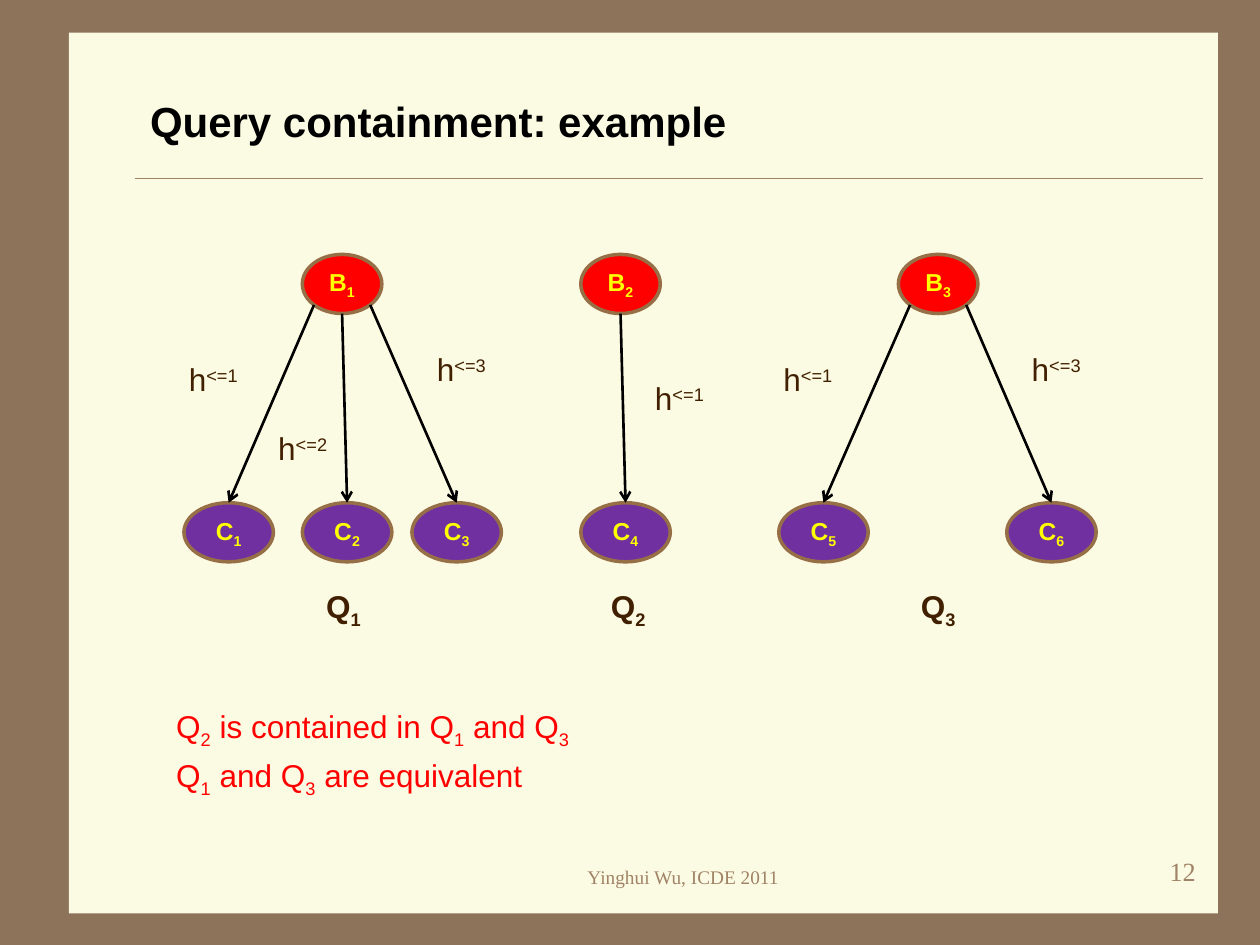
from math import sqrt

from lxml.etree import SubElement
from pptx import Presentation
from pptx.dml.color import RGBColor
from pptx.enum.shapes import MSO_CONNECTOR, MSO_SHAPE
from pptx.enum.text import MSO_ANCHOR, PP_ALIGN
from pptx.oxml.ns import qn
from pptx.util import Pt

# Content: "|" switches between normal and raised or lowered text
TITLE = "Query containment: example"
FOOTER = "Yinghui Wu, ICDE 2011"
PAGE_NUMBER = "12"
QUERIES = [
    {"root": ("B|1", 172.8), "name": ("Q|1", 179.3),
     "leaves": [("C|1", 105.1, "left"), ("C|2", 172.8, "middle"), ("C|3", 235.4, "right")],
     "bounds": [("h|<=1", 100.8, 202.3), ("h|<=2", 151.9, 241.9), ("h|<=3", 242.6, 196.6)]},
    {"root": ("B|2", 331.9), "name": ("Q|2", 342),
     "leaves": [("C|4", 331.9, "middle")],
     "bounds": [("h|<=1", 367.2, 213.1)]},
    {"root": ("B|3", 513.4), "name": ("Q|3", 519.1),
     "leaves": [("C|5", 445, "left"), ("C|6", 575.3, "right")],
     "bounds": [("h|<=1", 440.6, 202.3), ("h|<=3", 582.5, 196.6)]},
]
CONCLUSIONS = ["Q|2| is contained in Q|1| and Q|3", "Q|1| and Q|3| are equivalent"]

# Layout and colours
ROOT_TOP, LEAF_TOP, NAME_TOP = 145.4, 287.3, 331.9
ROOT_WIDTH, LEAF_WIDTH, NODE_HEIGHT = 45.4, 51.1, 33.8
NAME_WIDTH, BOUND_WIDTH = 36, 44
CONCLUSION_TOP, CONCLUSION_STEP = 400.3, 28.4
BROWN, CREAM, TAN, DARK = "8C735A", "FBFAE2", "A08366", "402000"
RED, PURPLE, YELLOW, BLACK, RIM = "FF0000", "7030A0", "FFFF00", "000000", "976F47"
SUBSCRIPT, SUPERSCRIPT = "-25000", "30000"


def color(hex_code):
    return RGBColor.from_string(hex_code)


def write(frame, text, size, ink, bold=False, font="Arial", script=SUBSCRIPT,
          align=PP_ALIGN.LEFT, margin=7.2):
    frame.margin_left = frame.margin_right = Pt(margin)
    frame.margin_top = frame.margin_bottom = Pt(3.6)
    paragraph = frame.paragraphs[0]
    paragraph.alignment = align
    for index, part in enumerate(text.split("|")):
        run = paragraph.add_run()
        run.text = part
        run.font.name, run.font.size, run.font.bold = font, Pt(size), bold
        run.font.color.rgb = color(ink)
        if index % 2:
            run.font._element.set("baseline", script)


def add_text(slide, text, left, top, width, height, size, ink, wrap=False, **style):
    box = slide.shapes.add_textbox(Pt(left), Pt(top), Pt(width), Pt(height))
    box.text_frame.word_wrap = wrap
    write(box.text_frame, text, size, ink, **style)


def add_node(slide, text, left, top, width, fill):
    node = slide.shapes.add_shape(MSO_SHAPE.OVAL, Pt(left), Pt(top), Pt(width), Pt(NODE_HEIGHT))
    node.shadow.inherit = False
    node.fill.solid()
    node.fill.fore_color.rgb = color(fill)
    node.line.color.rgb = color(RIM)
    node.line.width = Pt(2)
    node.text_frame.vertical_anchor = MSO_ANCHOR.MIDDLE
    write(node.text_frame, text, 14, YELLOW, bold=True, align=PP_ALIGN.CENTER)
    return node


def add_line(slide, start, end, ink, width):
    line = slide.shapes.add_connector(MSO_CONNECTOR.STRAIGHT, *map(Pt, start + end))
    line.line.color.rgb = color(ink)
    line.line.width = Pt(width)
    SubElement(line._element.spPr, qn("a:effectLst"))
    return line


def add_edge(slide, root_left, side, leaf, leaf_left):
    # Side edges leave the root ellipse at 45 degrees, the middle edge at its bottom
    direction = {"left": -1, "middle": 0, "right": 1}[side]
    drop = 1 / sqrt(2) if direction else 1
    start = (root_left + ROOT_WIDTH / 2 * (1 + direction / sqrt(2)),
             ROOT_TOP + NODE_HEIGHT / 2 * (1 + drop))
    edge = add_line(slide, start, (leaf_left + LEAF_WIDTH / 2, LEAF_TOP), BLACK, 1.5)
    edge.end_connect(leaf, 0)
    SubElement(edge.line._get_or_add_ln(), qn("a:tailEnd"), type="arrow")


def add_query(slide, query):
    root_text, root_left = query["root"]
    add_node(slide, root_text, root_left, ROOT_TOP, ROOT_WIDTH, RED)
    for text, left, side in query["leaves"]:
        leaf = add_node(slide, text, left, LEAF_TOP, LEAF_WIDTH, PURPLE)
        add_edge(slide, root_left, side, leaf, left)
    for text, left, top in query["bounds"]:
        add_text(slide, text, left, top, BOUND_WIDTH, 28.8, 18, DARK, script=SUPERSCRIPT)
    name, left = query["name"]
    add_text(slide, name, left, NAME_TOP, NAME_WIDTH, 31.7, 18, DARK, bold=True)


def main():
    presentation = Presentation()
    presentation.slide_width, presentation.slide_height = Pt(720), Pt(540)
    slide = presentation.slides.add_slide(presentation.slide_layouts[5])

    # Background, page panel and rule
    slide.background.fill.solid()
    slide.background.fill.fore_color.rgb = color(BROWN)
    panel = slide.shapes.add_shape(MSO_SHAPE.RECTANGLE, Pt(39.4), Pt(18.7), Pt(656.6), Pt(503.3))
    panel.shadow.inherit = False
    panel.fill.solid()
    panel.fill.fore_color.rgb = color(CREAM)
    panel.line.fill.background()
    add_line(slide, (77, 102), (687.6, 102), TAN, 0.25)

    # Title, brought in front of the panel
    title = slide.shapes.title
    slide.shapes._spTree.append(title._element)
    title.left, title.top, title.width, title.height = Pt(77.8), Pt(36), Pt(612), Pt(65.5)
    title.text_frame.vertical_anchor = MSO_ANCHOR.MIDDLE
    write(title.text_frame, TITLE, 24, BLACK, bold=True, margin=7.9)

    # Footer and page number
    small_print = {"font": "Times New Roman", "align": PP_ALIGN.RIGHT, "margin": 7.9, "wrap": True}
    add_text(slide, FOOTER, 303.1, 491, 149.8, 22.3, 11, TAN, **small_print)
    add_text(slide, PAGE_NUMBER, 541.4, 485.3, 149.8, 36, 15, TAN, **small_print)

    # Query trees and conclusions
    for query in QUERIES:
        add_query(slide, query)
    for index, text in enumerate(CONCLUSIONS):
        add_text(slide, text, 93.6, CONCLUSION_TOP + index * CONCLUSION_STEP,
                 272.2, 31.7, 18, RED, wrap=True)

    presentation.save("out.pptx")


if __name__ == "__main__":
    main()
